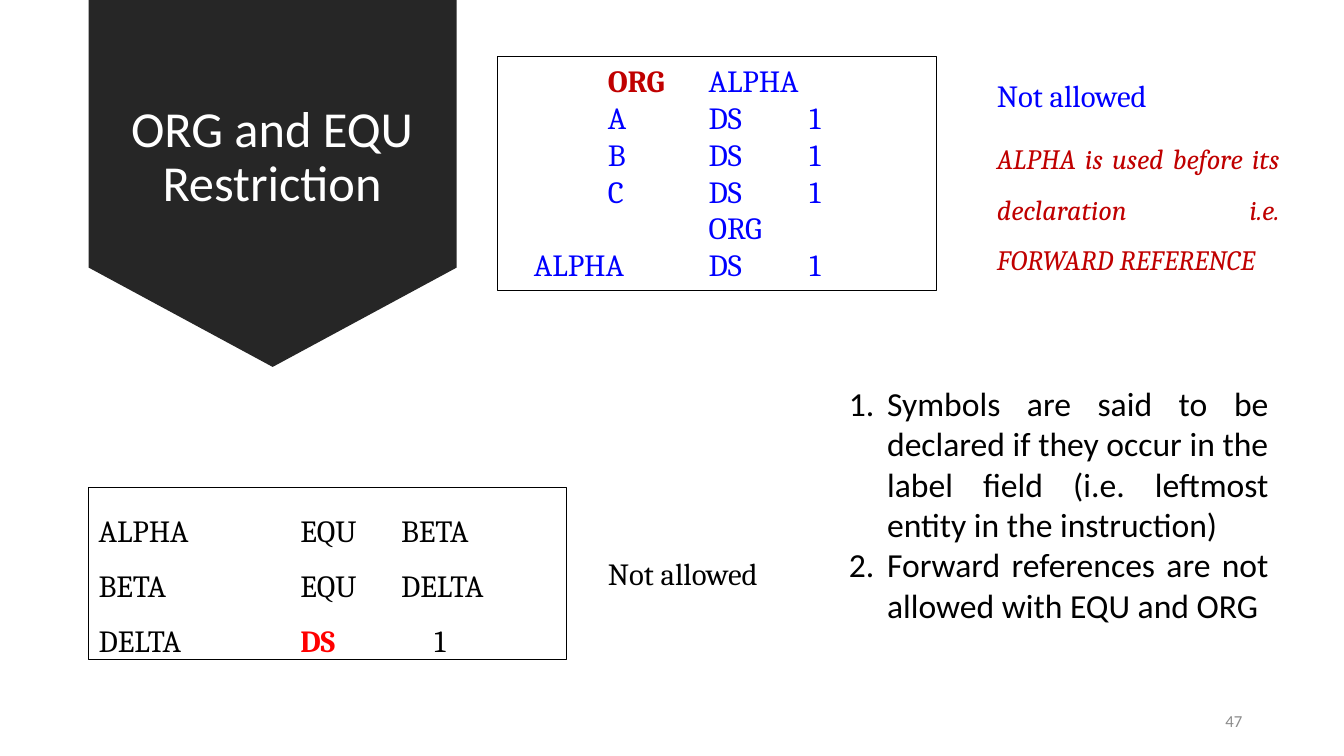
"""Build the slide on ORG and EQU restrictions."""
from lxml import etree
from pptx import Presentation
from pptx import util as u
from pptx.dml.color import RGBColor
from pptx.enum import shapes, text
from pptx.oxml import ns

WIDTH, HEIGHT = u.Inches(13.33), u.Inches(7.5)
CHARCOAL = RGBColor(0x26, 0x26, 0x26)
WHITE = RGBColor(0xFF, 0xFF, 0xFF)
GRAY = RGBColor(0x8C, 0x8C, 0x8C)
BLACK = RGBColor(0, 0, 0)
BLUE = RGBColor(0, 0, 0xFF)
CRIMSON = RGBColor(0xC0, 0, 0)
RED = RGBColor(0xFF, 0, 0)
BODY, CODE = "Calibri", "Cambria"
LEFT, CENTER = text.PP_ALIGN.LEFT, text.PP_ALIGN.CENTER
RIGHT, JUSTIFY = text.PP_ALIGN.RIGHT, text.PP_ALIGN.JUSTIFY
TOP, MIDDLE = text.MSO_ANCHOR.TOP, text.MSO_ANCHOR.MIDDLE


def place(left, top, width, height):
    """Turn percentages of the slide into lengths."""
    return (int(WIDTH * left / 100), int(HEIGHT * top / 100),
            int(WIDTH * width / 100), int(HEIGHT * height / 100))


def add_banner(slide, area):
    """Draw the dark pointed banner behind the title."""
    banner = slide.shapes.add_shape(shapes.MSO_SHAPE.DOWN_ARROW, *place(*area))
    banner.adjustments[0], banner.adjustments[1] = 1, 0.27
    banner.shadow.inherit = False
    banner.fill.solid()
    banner.fill.fore_color.rgb = CHARCOAL
    banner.line.fill.background()


def add_run(paragraph, words, font, size, color, bold=False, italic=False):
    """Append one styled run."""
    run = paragraph.add_run()
    run.text = words
    run.font.name, run.font.size = font, u.Pt(size)
    run.font.bold, run.font.italic = bold, italic
    run.font.color.rgb = color


def set_frame(holder, anchor=TOP, wrap=True):
    """Prepare the text frame and return it."""
    frame = holder.text_frame
    frame.word_wrap = wrap
    frame.vertical_anchor = anchor
    return frame


def next_paragraph(frame, position, align, spacing):
    """Return the paragraph at a position, adding it after the first."""
    paragraph = frame.add_paragraph() if position else frame.paragraphs[0]
    paragraph.alignment = align
    paragraph.line_spacing = spacing
    return paragraph


def add_label(slide, area, words, font, size, color, align=LEFT, anchor=TOP,
              spacing=1.0, italic=False, wrap=True):
    """Add a one-paragraph text box."""
    frame = set_frame(slide.shapes.add_textbox(*place(*area)), anchor, wrap)
    add_run(next_paragraph(frame, 0, align, spacing), words, font, size, color,
            italic=italic)


def add_listing(slide, area, lines, color, accent, spacing=1.0):
    """Add a framed listing; each line gives tab stops, then plain and accented parts."""
    panel = slide.shapes.add_shape(shapes.MSO_SHAPE.RECTANGLE, *place(*area))
    panel.shadow.inherit = False
    panel.fill.background()
    panel.line.color.rgb, panel.line.width = BLACK, u.Pt(0.75)
    frame = set_frame(panel)
    for position, (stops, *parts) in enumerate(lines):
        paragraph = next_paragraph(frame, position, LEFT, spacing)
        tabs = etree.SubElement(paragraph._p.get_or_add_pPr(), ns.qn("a:tabLst"))
        for stop in stops:
            etree.SubElement(tabs, ns.qn("a:tab"), pos=str(u.Inches(stop)), algn="l")
        for order, part in enumerate(parts):
            accented = order % 2 == 1
            add_run(paragraph, part, CODE, 22, accent if accented else color,
                    bold=accented)


def add_rules(slide, area, rules):
    """Add the numbered rules."""
    frame = set_frame(slide.shapes.add_textbox(*place(*area)))
    indent = u.Inches(0.38)
    for position, rule in enumerate(rules):
        paragraph = next_paragraph(frame, position, JUSTIFY, 1.0)
        properties = paragraph._p.get_or_add_pPr()
        properties.set("marL", str(indent))
        properties.set("indent", str(-indent))
        etree.SubElement(properties, ns.qn("a:buFont"), typeface="+mj-lt")
        etree.SubElement(properties, ns.qn("a:buAutoNum"), type="arabicPeriod")
        add_run(paragraph, rule, BODY, 24, BLACK)


def main():
    """Assemble and save the slide."""
    deck = Presentation()
    deck.slide_width, deck.slide_height = WIDTH, HEIGHT
    slide = deck.slides.add_slide(deck.slide_layouts[6])

    add_banner(slide, (6.6, -0.13, 27.38, 48.67))
    add_label(slide, (8.4, 2.8, 23.7, 36.27), "ORG and EQU Restriction",
              BODY, 36, WHITE, CENTER, MIDDLE, 0.9)
    add_label(slide, (70.67, 92.67, 22.5, 5.33), "47", BODY, 12, GRAY, RIGHT, MIDDLE)

    columns = (1, 2, 3)
    org_lines = [(columns, "\t", "ORG", "\tALPHA")]
    org_lines += [(columns, f"\t{symbol}\tDS\t1") for symbol in "ABC"]
    org_lines += [(columns, "\t\tORG"), (columns, "    ALPHA\tDS\t1")]
    add_listing(slide, (36.98, 7.47, 32.71, 30.93), org_lines, BLUE, CRIMSON)
    add_label(slide, (73.44, 9.47, 17.1, 6.27), "Not allowed", CODE, 22, BLUE)
    add_label(slide, (73.44, 15.87, 22.5, 20.67),
              "ALPHA is used before its declaration i.e. FORWARD REFERENCE",
              CODE, 20, CRIMSON, JUSTIFY, spacing=1.5, italic=True)

    equ_lines = [((2, 3), "ALPHA\tEQU\tBETA"),
                 ((2, 3), "BETA\tEQU\tDELTA"),
                 ((2, 3.33), "DELTA\t", "DS", "\t1")]
    add_listing(slide, (6.6, 64.53, 35.56, 22.67), equ_lines, BLACK, RED, 1.5)
    add_label(slide, (44.49, 72.67, 13.43, 6.27), "Not allowed", CODE, 22, BLACK,
              wrap=False)

    add_rules(slide, (62.42, 50, 32.71, 33.6), [
        "Symbols are said to be declared if they occur in the label field "
        "(i.e. leftmost entity in the instruction)",
        "Forward references are not allowed with EQU and ORG"])
    deck.save("out.pptx")


if __name__ == "__main__":
    main()
